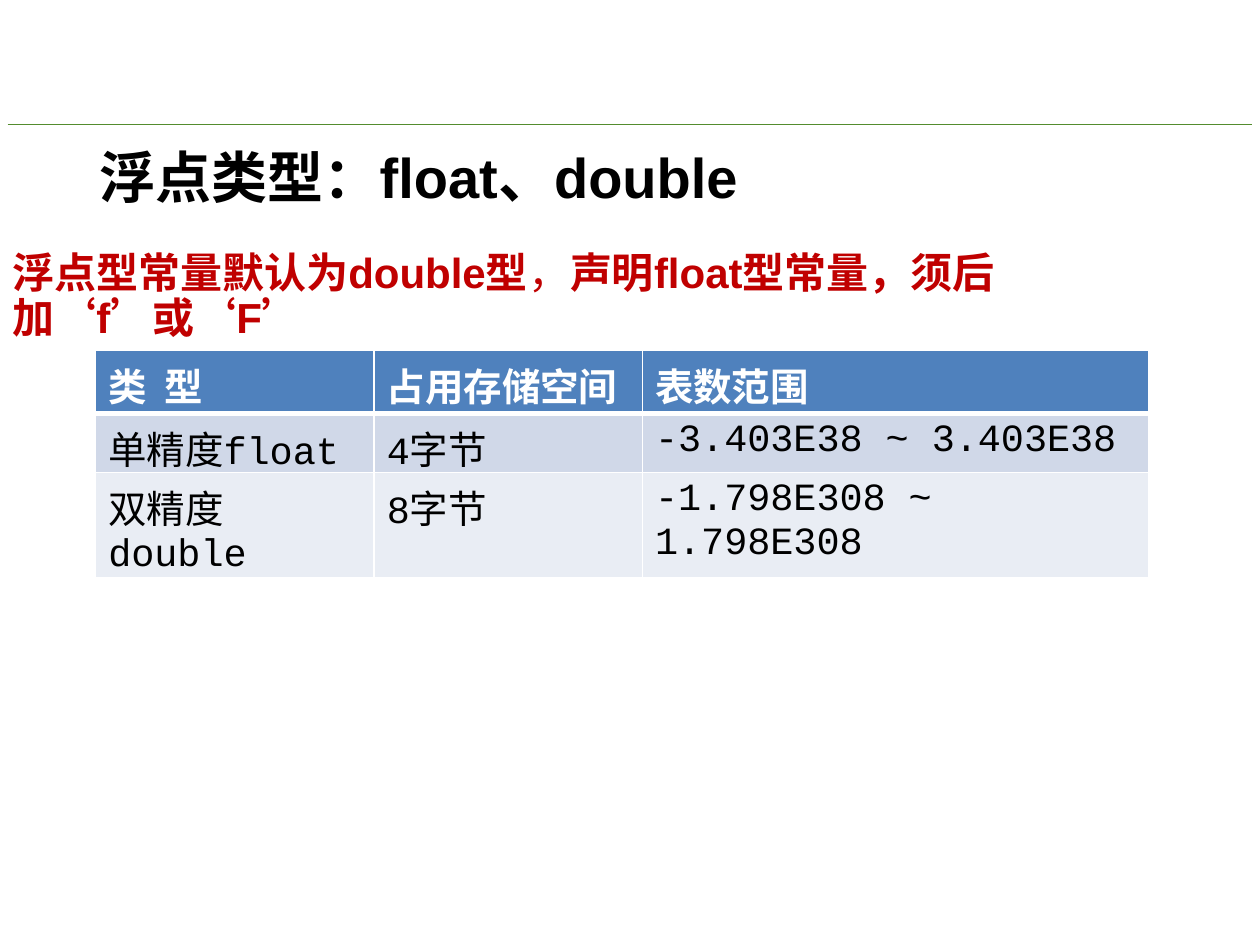
from lxml.etree import SubElement
from pptx import Presentation
from pptx.dml.color import RGBColor
from pptx.enum.lang import MSO_LANGUAGE_ID as Language
from pptx.enum.shapes import MSO_CONNECTOR as Connector
from pptx.enum.text import MSO_ANCHOR as Anchor
from pptx.oxml.ns import qn
from pptx.util import Inches, Pt


def color(value):
    return RGBColor.from_string(value)


def add_span(para, text, font_color, **formats):
    span = para.add_run()
    span.text = text
    span.font.color.rgb = color(font_color)
    span.font.language_id = Language.SIMPLIFIED_CHINESE
    for name, value in formats.items():
        setattr(span.font, name, value)


deck = Presentation()
deck.slide_width = Inches(10)
deck.slide_height = Inches(7.5)
page = deck.slides.add_slide(deck.slide_layouts[6])

rule = page.shapes.add_connector(
    Connector.STRAIGHT, Inches(0.06), Inches(0.99), Inches(9.94), Inches(0.99)
)
rule.line.color.rgb = color("538C2E")
rule.line.width = Pt(0.5)
SubElement(rule._element.spPr, qn("a:effectLst"))

text_boxes = [
    ((0.69, 0.71, 8.62, 1.45), Anchor.MIDDLE, 0, 32, "000000",
     [("浮点类型：float、double", True)]),
    ((0, 1.95, 9.87, 3.09), Anchor.TOP, 10, 24, "C00000",
     [("浮点型常量默认为double型", True), ("，", False),
      ("声明float型常量，须后加‘f’或‘F’", True)]),
]
for place, anchor, space, size, font_color, spans in text_boxes:
    box = page.shapes.add_textbox(*[Inches(length) for length in place])
    box.text_frame.word_wrap = True
    box.text_frame.vertical_anchor = anchor
    para = box.text_frame.paragraphs[0]
    para.line_spacing = 0.9
    para.space_before = Pt(space)
    for text, bold in spans:
        add_span(para, text, font_color, name="Arial", size=Pt(size), bold=bold)

rows = [
    ("类  型", "占用存储空间", "表数范围"),
    ("单精度float", "4字节", "-3.403E38 ~ 3.403E38"),
    ("双精度double", "8字节", "-1.798E308 ~ 1.798E308"),
]
row_heights = [0.5, 0.47, 0.47]
column_widths = [2.21, 2.13, 4.02]
row_fills = ["4F81BD", "D0D8E8", "E9EDF4"]
border_widths = [
    {"lnL": 1, "lnR": 1, "lnT": 1, "lnB": 3},
    {"lnL": 1, "lnR": 1, "lnT": 3, "lnB": 1},
    {"lnL": 1, "lnR": 1, "lnT": 1, "lnB": 1},
]
table = page.shapes.add_table(
    3, 3, Inches(0.76), Inches(2.78), Inches(8.35), Inches(1.44)
).table
for column, width in zip(table.columns, column_widths):
    column.width = Inches(width)
for row_index, texts in enumerate(rows):
    table.rows[row_index].height = Inches(row_heights[row_index])
    header = row_index == 0
    for column_index, text in enumerate(texts):
        cell = table.cell(row_index, column_index)
        para = cell.text_frame.paragraphs[0]
        para.space_before = Pt(4.4)
        add_span(para, text, "FFFFFF" if header else "000000",
                 name="Courier New", size=Pt(22), bold=header)
        properties = cell._tc.get_or_add_tcPr()
        for side, width in border_widths[row_index].items():
            border = SubElement(properties, qn(f"a:{side}"), w=str(Pt(width)))
            paint = SubElement(border, qn("a:solidFill"))
            SubElement(paint, qn("a:srgbClr"), val="FFFFFF")
        cell.fill.solid()
        cell.fill.fore_color.rgb = color(row_fills[row_index])

deck.save("out.pptx")
